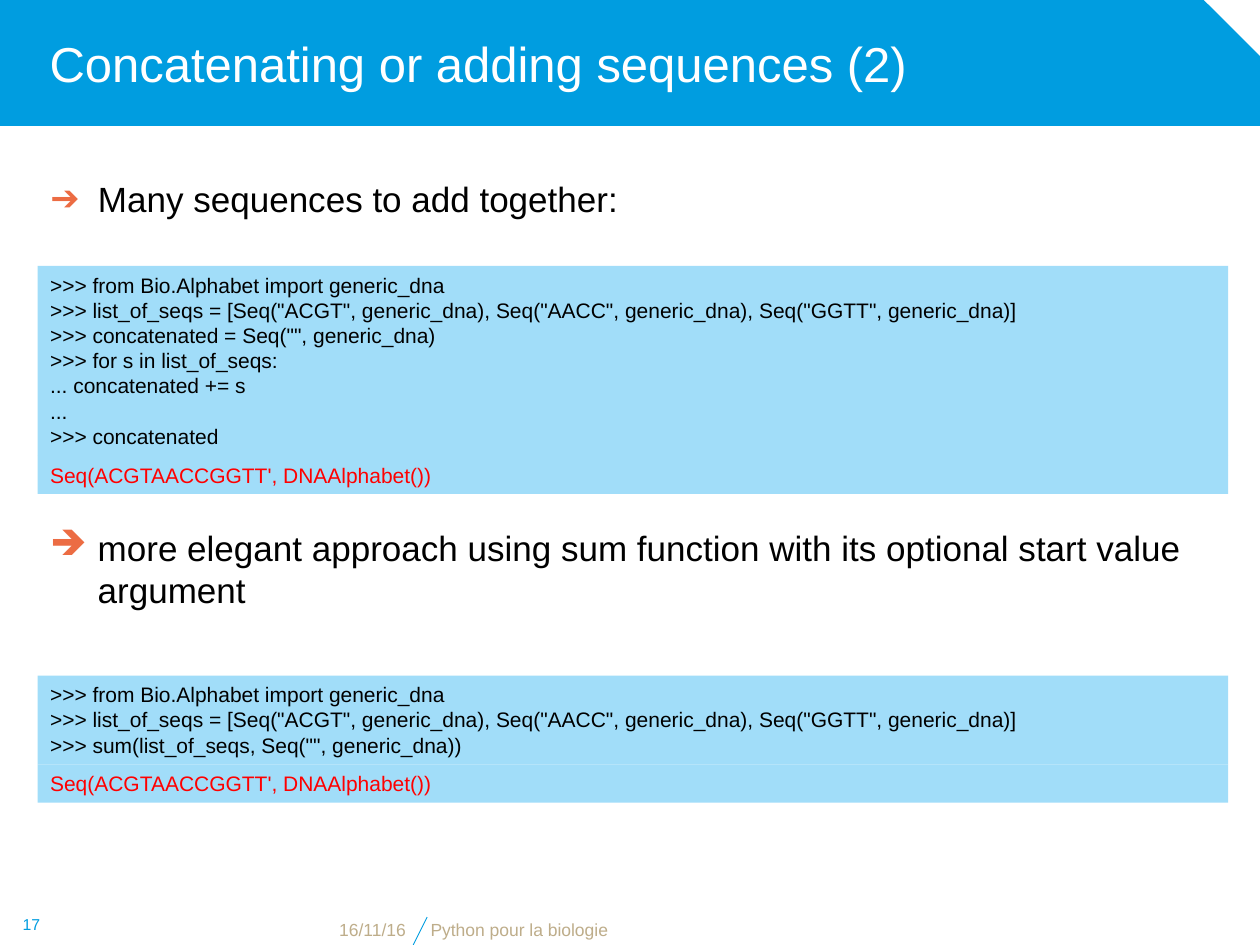
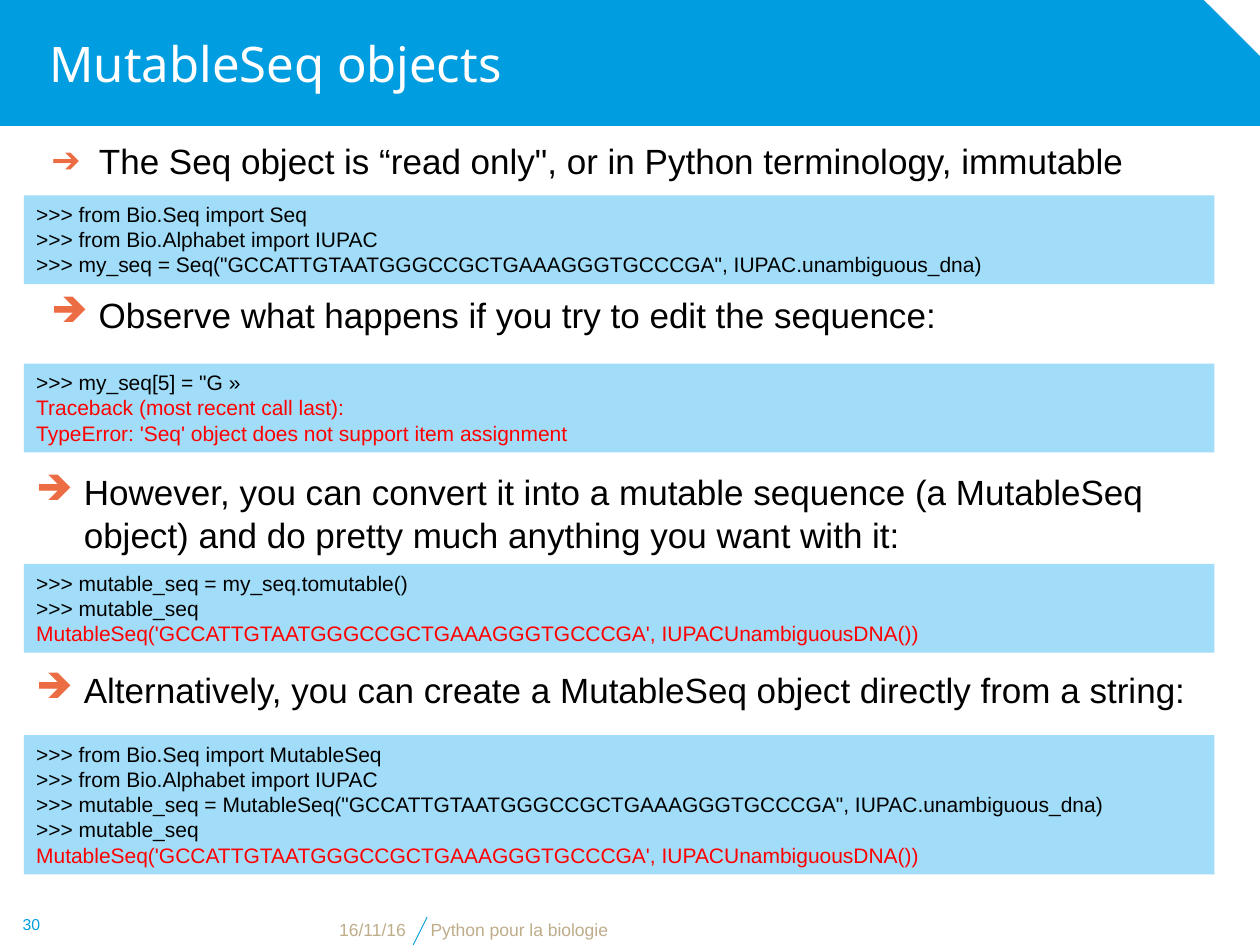
import lxml.etree
import pptx
import pptx.dml.color
import pptx.enum.shapes
import pptx.enum.text
import pptx.oxml.ns
import pptx.util

Cm = pptx.util.Cm
Pt = pptx.util.Pt
Align = pptx.enum.text.PP_ALIGN
Anchor = pptx.enum.text.MSO_ANCHOR
AutoSize = pptx.enum.text.MSO_AUTO_SIZE
qn = pptx.oxml.ns.qn

COLORS = {
    "band": "009DE0", "title": "FFFFFF", "text": "000000", "bullet": "EC6C43",
    "code": "A1DDF9", "output": "FF0000", "footer": "BEAD8A",
}
BLOCK_WIDTH = 24.0
DATE = "16/11/16"
COURSE = "Python pour la biologie"

# Content: bullets are (left, top, height, text), code blocks are
# (left, top, boxes); each box holds (input lines, output lines), boxes stack.
DNA_SETUP = [
    ">>> from Bio.Alphabet import generic_dna",
    '>>> list_of_seqs = [Seq("ACGT", generic_dna), Seq("AACC", generic_dna), '
    'Seq("GGTT", generic_dna)]',
]
SUM_RESULT = ([], ["Seq(ACGTAACCGGTT', DNAAlphabet())"])
MUTABLE_RESULT = [
    "MutableSeq('GCCATTGTAATGGGCCGCTGAAAGGGTGCCCGA', IUPACUnambiguousDNA())"
]

SLIDES = [
    {
        "title": "Concatenating or adding sequences (2)",
        "title_font": "Arial",
        "number": "17",
        "bullets": [
            (0.76, 3.45, 1.24, "Many sequences to add together:"),
            (0.76, 10.49, 1.88, "more elegant approach using sum function with "
             "its optional start value argument"),
        ],
        "code": [
            (0.76, 5.36, [
                (DNA_SETUP + [
                    '>>> concatenated = Seq("", generic_dna)',
                    ">>> for s in list_of_seqs:",
                    "... concatenated += s",
                    "...",
                    ">>> concatenated",
                ], []),
                SUM_RESULT,
            ]),
            (0.76, 13.62, [
                (DNA_SETUP + ['>>> sum(list_of_seqs, Seq("", generic_dna))'], []),
                SUM_RESULT,
            ]),
        ],
    },
    {
        "title": "MutableSeq objects",
        "title_font": "Noto Sans",
        "number": "30",
        "bullets": [
            (0.78, 2.69, 1.47, "The Seq object is “read only\", or in Python "
             "terminology, immutable"),
            (0.78, 5.79, 1.47, "Observe what happens if you try to edit the sequence:"),
            (0.48, 9.37, 2.0, "However, you can convert it into a mutable sequence "
             "(a MutableSeq object) and do pretty much anything you want with it:"),
            (0.48, 13.36, 1.47, "Alternatively, you can create a MutableSeq object "
             "directly from a string:"),
        ],
        "code": [
            (0.48, 3.94, [([
                ">>> from Bio.Seq import Seq",
                ">>> from Bio.Alphabet import IUPAC",
                '>>> my_seq = Seq("GCCATTGTAATGGGCCGCTGAAAGGGTGCCCGA", '
                "IUPAC.unambiguous_dna)",
            ], [])]),
            (0.48, 7.33, [([
                '>>> my_seq[5] = "G »',
            ], [
                "Traceback (most recent call last):",
                "TypeError: 'Seq' object does not support item assignment",
            ])]),
            (0.48, 11.37, [([
                ">>> mutable_seq = my_seq.tomutable()",
                ">>> mutable_seq",
            ], MUTABLE_RESULT)]),
            (0.48, 14.82, [([
                ">>> from Bio.Seq import MutableSeq",
                ">>> from Bio.Alphabet import IUPAC",
                '>>> mutable_seq = MutableSeq("GCCATTGTAATGGGCCGCTGAAAGGGTGCCCGA", '
                "IUPAC.unambiguous_dna)",
                ">>> mutable_seq",
            ], MUTABLE_RESULT)]),
        ],
    },
]


def rgb(name):
    return pptx.dml.color.RGBColor.from_string(COLORS[name])


def place(shape, left, top, width, height):
    shape.left, shape.top = Cm(left), Cm(top)
    shape.width, shape.height = Cm(width), Cm(height)


def write(paragraph, text, size, color, name="Arial", align=Align.LEFT):
    paragraph.text = text
    paragraph.alignment = align
    paragraph.font.size = Pt(size)
    paragraph.font.name = name
    paragraph.font.color.rgb = rgb(color)


def add_filled(slide, kind, left, top, width, height, color):
    shape = slide.shapes.add_shape(kind, Cm(left), Cm(top), Cm(width), Cm(height))
    shape.shadow.inherit = False
    shape.fill.solid()
    shape.fill.fore_color.rgb = rgb(color)
    shape.line.fill.background()
    return shape


def add_textbox(slide, left, top, width, height):
    box = slide.shapes.add_textbox(Cm(left), Cm(top), Cm(width), Cm(height))
    box.text_frame.word_wrap = True
    return box


def decorate_layout(layout, slide):
    """Draw the title band and the footer slash, then move them to the layout."""
    band = add_filled(slide, pptx.enum.shapes.MSO_SHAPE.SNIP_1_RECTANGLE,
                      0, 0, 25.43, 2.54, "band")
    band.adjustments[0] = 0.458
    slash = slide.shapes.add_connector(pptx.enum.shapes.MSO_CONNECTOR.STRAIGHT,
                                       Cm(8.33), Cm(19.05), Cm(8.61), Cm(18.49))
    slash.line.color.rgb = rgb("band")
    slash.line.width = Pt(0.5)
    lxml.etree.SubElement(slash.element.spPr, qn("a:effectLst"))
    for shape in (slash, band):
        layout.shapes.element.insert(2, shape.element)


def add_title(slide, text, font):
    title = slide.shapes.title
    place(title, 0, 0, 24.13, 2.54)
    frame = title.text_frame
    frame.margin_left = Cm(1)
    frame.vertical_anchor = Anchor.MIDDLE
    frame.auto_size = AutoSize.NONE
    write(frame.paragraphs[0], text, 28, "title", font)


def format_bullet(shape, text):
    shape.text_frame.auto_size = AutoSize.NONE
    paragraph = shape.text_frame.paragraphs[0]
    properties = paragraph._p.get_or_add_pPr()
    properties.set("marL", str(Cm(0.96)))
    properties.set("indent", str(-Cm(0.96)))
    # Children must keep this order: spacing, bullet colour, bullet character
    for parent_tag, child_tag, value in (("a:spcBef", "a:spcPct", "20000"),
                                         ("a:buClr", "a:srgbClr", COLORS["bullet"])):
        parent = lxml.etree.SubElement(properties, qn(parent_tag))
        lxml.etree.SubElement(parent, qn(child_tag)).set("val", value)
    lxml.etree.SubElement(properties, qn("a:buChar")).set("char", "➔")
    write(paragraph, text, 20, "text")


def add_bullets(slide, bullets):
    for index, (left, top, height, text) in enumerate(bullets):
        area = (left, top, BLOCK_WIDTH, height)
        if index == 0:
            shape = slide.placeholders[1]
            place(shape, *area)
        else:
            shape = add_textbox(slide, *area)
        format_bullet(shape, text)


def add_code(slide, left, top, boxes):
    for inputs, outputs in boxes:
        lines = [(line, "text") for line in inputs]
        lines += [(line, "output") for line in outputs]
        height = 0.26 + 0.51 * len(lines)
        box = add_filled(slide, pptx.enum.shapes.MSO_SHAPE.RECTANGLE,
                         left, top, BLOCK_WIDTH, height, "code")
        frame = box.text_frame
        frame.word_wrap = True
        frame.vertical_anchor = Anchor.TOP
        frame.auto_size = AutoSize.SHAPE_TO_FIT_TEXT
        for index, (line, color) in enumerate(lines):
            paragraph = frame.add_paragraph() if index else frame.paragraphs[0]
            write(paragraph, line, 12, color)
        top += height


def add_footer(slide, number):
    footers = [
        (2.51, 18.49, 5.92, 0.58, DATE, 10, "footer", Align.RIGHT, Anchor.BOTTOM),
        (8.43, 18.49, 14.6, 0.58, COURSE, 10, "footer", Align.LEFT, Anchor.BOTTOM),
        (0, 18.21, 1.27, 0.84, number, 9, "band", Align.CENTER, Anchor.MIDDLE),
    ]
    for left, top, width, height, text, size, color, align, anchor in footers:
        frame = add_textbox(slide, left, top, width, height).text_frame
        frame.vertical_anchor = anchor
        write(frame.paragraphs[0], text, size, color, align=align)


def main():
    presentation = pptx.Presentation()
    presentation.slide_width, presentation.slide_height = Cm(25.4), Cm(19.05)
    layout = presentation.slide_layouts[1]
    for index, content in enumerate(SLIDES):
        slide = presentation.slides.add_slide(layout)
        if index == 0:
            decorate_layout(layout, slide)
        add_title(slide, content["title"], content["title_font"])
        add_bullets(slide, content["bullets"])
        for left, top, boxes in content["code"]:
            add_code(slide, left, top, boxes)
        add_footer(slide, content["number"])
    presentation.save("out.pptx")


if __name__ == "__main__":
    main()
